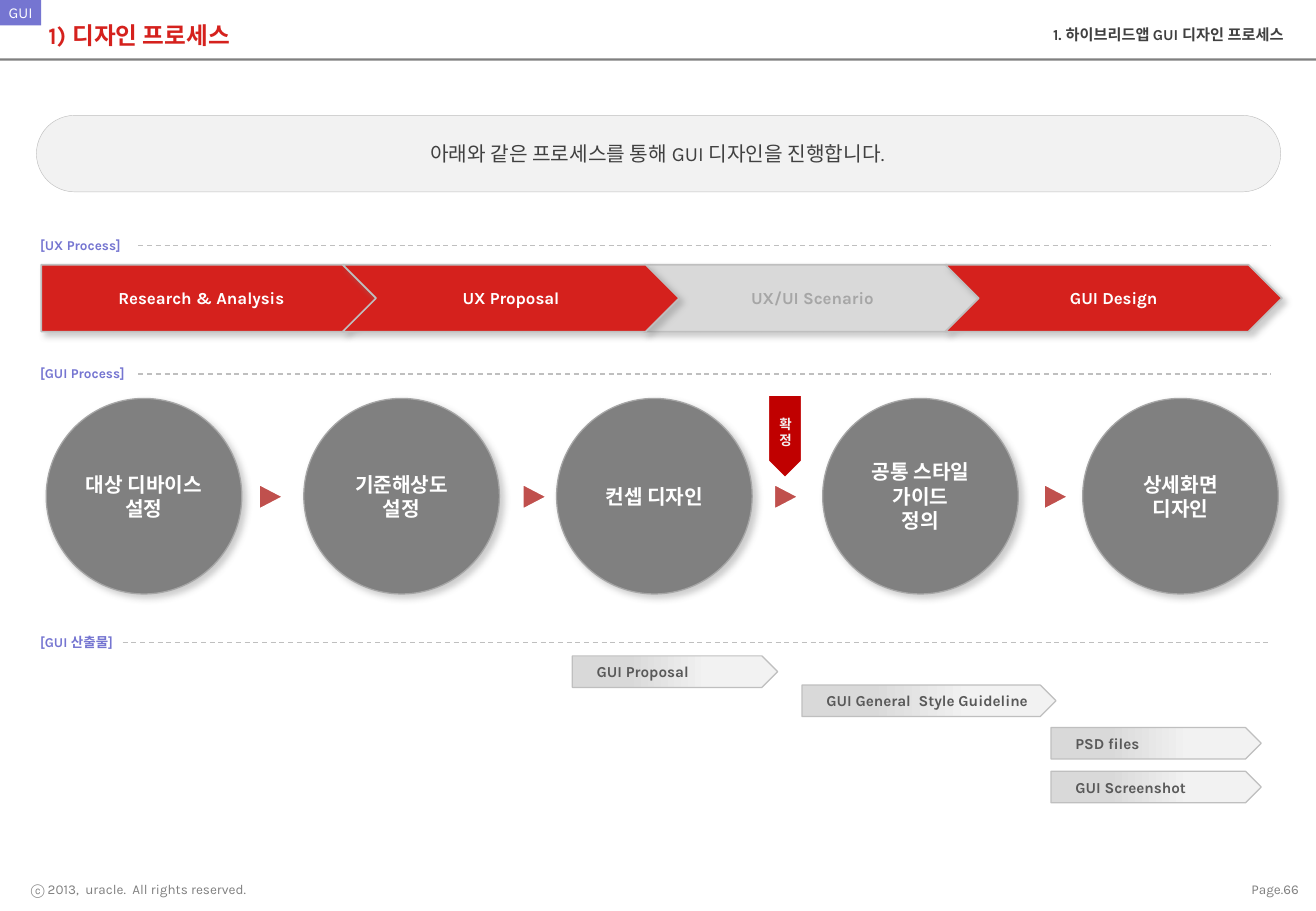
"""Build the GUI design process slide."""
from lxml.etree import SubElement
from pptx import Presentation
from pptx.dml.color import RGBColor
from pptx.enum.dml import MSO_LINE
from pptx.enum.shapes import MSO_CONNECTOR, MSO_SHAPE
from pptx.enum.text import MSO_ANCHOR, PP_ALIGN
from pptx.oxml.ns import qn
from pptx.util import Inches, Pt

WHITE = RGBColor(0xFF, 0xFF, 0xFF)
RED = RGBColor(0xD5, 0x21, 0x1D)
TAG_RED = RGBColor(0xC0, 0x00, 0x00)
ARROW_RED = RGBColor(0xC0, 0x50, 0x4D)
VIOLET = RGBColor(0x75, 0x75, 0xD1)
INK = RGBColor(0x40, 0x40, 0x40)
DARK = RGBColor(0x59, 0x59, 0x59)
GRAY = RGBColor(0x80, 0x80, 0x80)
MID = RGBColor(0xA6, 0xA6, 0xA6)
EDGE = RGBColor(0xBF, 0xBF, 0xBF)
SILVER = RGBColor(0xD9, 0xD9, 0xD9)
PALE = RGBColor(0xF2, 0xF2, 0xF2)
LEFT, CENTER, RIGHT = PP_ALIGN.LEFT, PP_ALIGN.CENTER, PP_ALIGN.RIGHT
FONT = "Karla"
TIGHT = (0.09, 0.04, 0.09, 0.04)

HEADINGS = [
    ("1) 디자인 프로세스", (0.3, 0.08, 10.33, 0.41), 14, RED, True, LEFT),
    ("1. 하이브리드앱 GUI 디자인 프로세스", (6.88, 0.16, 3.78, 0.24), 9, INK, True, RIGHT),
    ("아래와 같은 프로세스를 통해 GUI 디자인을 진행합니다.", (0.51, 1.03, 9.8, 0.47), 12, INK, False, CENTER),
]
FOOTERS = [
    ("ⓒ 2013,  uracle.  All rights reserved.", (0.03, 7.21, 2.09, 0.22)),
    ("Page.66", (10.18, 7.21, 0.6, 0.22)),
]
SECTIONS = [
    ("[UX Process]", 1.9, 0.9, 1.14),
    ("[GUI Process]", 2.96, 0.9, 1.14),
    ("[GUI 산출물]", 5.17, 0.74, 1.01),
]
UX_STEPS = [
    (2, "UX/UI Scenario", MSO_SHAPE.CHEVRON, SILVER, MID),
    (0, "Research & Analysis", MSO_SHAPE.PENTAGON, RED, WHITE),
    (3, "GUI Design", MSO_SHAPE.CHEVRON, RED, WHITE),
    (1, "UX Proposal", MSO_SHAPE.CHEVRON, RED, WHITE),
]
GUI_STEPS = [
    (0.38, ["대상 디바이스", "설정"]),
    (2.5, ["기준해상도", "설정"]),
    (4.58, ["컨셉 디자인"]),
    (6.77, ["공통 스타일", "가이드", "정의"]),
    (8.91, ["상세화면", "디자인"]),
]
ARROW_LEFTS = [2.12, 4.29, 6.36, 8.58]
OUTPUTS = [
    ("GUI Proposal", 4.71, 5.4, 1.69),
    ("GUI General  Style Guideline", 6.6, 5.64, 2.09),
    ("PSD files", 8.65, 5.99, 1.73),
    ("GUI Screenshot", 8.65, 6.35, 1.73),
]


def write(box, lines, size, color, bold=True, align=CENTER, wrap=False,
          margins=(0.1, 0.05, 0.1, 0.05), anchor=MSO_ANCHOR.MIDDLE):
    frame = box.text_frame
    frame.word_wrap, frame.vertical_anchor = wrap, anchor
    for side, margin in zip(("left", "top", "right", "bottom"), margins):
        setattr(frame, f"margin_{side}", Inches(margin))
    for index, line in enumerate(lines):
        para = frame.add_paragraph() if index else frame.paragraphs[0]
        para.alignment = align
        span = para.add_run()
        span.text = line
        for name, value in {"name": FONT, "size": Pt(size), "bold": bold}.items():
            setattr(span.font, name, value)
        span.font.color.rgb = color


def add_text(page, place, *args, **formats):
    box = page.shapes.add_textbox(*map(Inches, place))
    write(box, *args, **formats)


def add_box(page, kind, place, fill=None, edge=None, weight=0.75):
    box = page.shapes.add_shape(kind, *map(Inches, place))
    box.shadow.inherit = False
    if fill is not None:
        box.fill.solid()
        box.fill.fore_color.rgb = fill
    if edge is None:
        box.line.fill.background()
    else:
        box.line.color.rgb = edge
        box.line.width = Pt(weight)
    return box


def cast_shadow(box):
    effects = box._element.spPr.find(qn("a:effectLst"))
    shadow = SubElement(effects, qn("a:outerShdw"), blurRad=str(Pt(4)), dist=str(Pt(3)),
                        dir=str(45 * 60000), algn="tl", rotWithShape="0")
    color = SubElement(shadow, qn("a:srgbClr"), val=str(GRAY))
    SubElement(color, qn("a:alpha"), val="40000")


def add_frame(page):
    add_box(page, MSO_SHAPE.RECTANGLE, (0, 0.48, 10.83, 0.02), GRAY)
    banner = add_box(page, MSO_SHAPE.ROUNDED_RECTANGLE, (0.3, 0.95, 10.24, 0.63), PALE, EDGE, 0.25)
    banner.adjustments[0] = 0.5
    corner = add_box(page, MSO_SHAPE.RECTANGLE, (0, 0, 0.34, 0.21), VIOLET)
    write(corner, ["GUI"], 9, WHITE, bold=False, margins=(0.1, 0, 0.1, 0))
    for text, place, size, color, bold, align in HEADINGS:
        add_text(page, place, [text], size, color, bold, align, wrap=True)
    for text, place in FOOTERS:
        add_text(page, place, [text], 8, GRAY, False, RIGHT, margins=TIGHT)


def add_sections(page):
    for text, top, width, start in SECTIONS:
        add_text(page, (0.33, top, width, 0.24), [text], 8, VIOLET, align=LEFT, wrap=True,
                 margins=(0, 0.05, 0.1, 0.05), anchor=MSO_ANCHOR.TOP)
        height = Inches(top + 0.12)
        rule = page.shapes.add_connector(MSO_CONNECTOR.STRAIGHT, Inches(start), height,
                                         Inches(10.46), height)
        rule.line.color.rgb = EDGE
        rule.line.width = Pt(0.75)
        rule.line.dash_style = MSO_LINE.DASH
        SubElement(rule._element.spPr, qn("a:effectLst"))


def add_gui_steps(page):
    for left in ARROW_LEFTS:
        arrow = add_box(page, MSO_SHAPE.ISOSCELES_TRIANGLE, (left, 3.98, 0.23, 0.22),
                        ARROW_RED, WHITE, 2)
        arrow.rotation = 90
    for left, lines in GUI_STEPS:
        circle = add_box(page, MSO_SHAPE.OVAL, (left, 3.28, 1.61, 1.61), GRAY, MID)
        cast_shadow(circle)
        write(circle, lines, 12, WHITE)
    tag = add_box(page, MSO_SHAPE.PENTAGON, (6.11, 3.45, 0.7, 0.29), TAG_RED, WHITE, 2)
    tag.rotation = 90
    write(tag, ["확정"], 8, PALE, wrap=True)
    tag.text_frame._txBody.bodyPr.set("vert", "vert270")


def add_outputs(page):
    for text, left, top, width in OUTPUTS:
        plate = add_box(page, MSO_SHAPE.PENTAGON, (left, top, width, 0.26), edge=EDGE)
        plate.fill.gradient()
        plate.fill.gradient_angle = 0
        for stop, position, color in zip(plate.fill.gradient_stops, (0.27, 0.66), (SILVER, PALE)):
            stop.position = position
            stop.color.rgb = color
        write(plate, [text], 9, DARK, align=LEFT, wrap=True, margins=(0.2, 0.05, 0.1, 0.05))


def add_ux_steps(page):
    for column, text, kind, fill, color in UX_STEPS:
        step = add_box(page, kind, (0.34 + 2.48 * column, 2.18, 2.77, 0.55), fill, EDGE, 1)
        cast_shadow(step)
        write(step, [text], 10, color)


def main():
    deck = Presentation()
    deck.slide_width, deck.slide_height = Inches(10.83), Inches(7.5)
    page = deck.slides.add_slide(deck.slide_layouts[6])
    for add_part in (add_frame, add_sections, add_gui_steps, add_outputs, add_ux_steps):
        add_part(page)
    deck.save("out.pptx")


if __name__ == "__main__":
    main()
